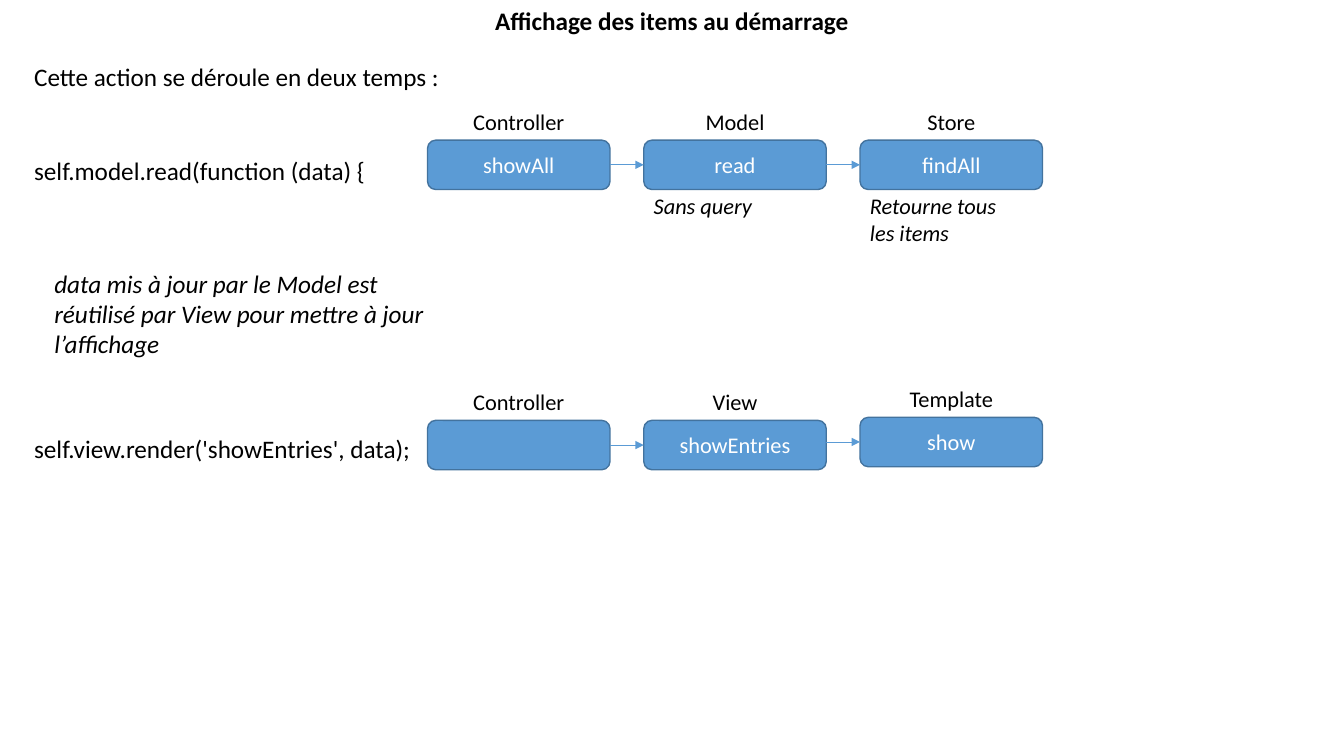
from lxml.etree import SubElement
from pptx import Presentation
from pptx.dml.color import RGBColor
from pptx.enum.shapes import MSO_CONNECTOR, MSO_SHAPE
from pptx.enum.text import MSO_ANCHOR, MSO_AUTO_SIZE, PP_ALIGN
from pptx.oxml.ns import qn
from pptx.util import Inches, Pt

BLACK, WHITE = "000000", "FFFFFF"
BLUE, DARK_BLUE = "5B9BD5", "43739E"
STEP_LEFT, STEP_PITCH = 4.24, 2.145
STEP_WIDTH, STEP_HEIGHT = 1.81, 0.49
ROLE_WIDTH, ROLE_HEIGHT = 1.39, 0.37
RIGHT_SIDE, LEFT_SIDE = 3, 1


def color(hex_value):
    return RGBColor.from_string(hex_value)


def write(frame, text, size=18, fill=BLACK, bold=False, italic=False,
          align=PP_ALIGN.LEFT, anchor=MSO_ANCHOR.TOP):
    frame.word_wrap = True
    frame.vertical_anchor = anchor
    frame.text = text
    for paragraph in frame.paragraphs:
        paragraph.alignment = align
        for run in paragraph.runs:
            font = run.font
            font.name, font.size = "Calibri", Pt(size)
            font.bold, font.italic = bold, italic
            font.color.rgb = color(fill)


def add_title(slide, text):
    title = slide.shapes.title
    title.left, title.top = Inches(0), Inches(0)
    title.width, title.height = Inches(13.33), Inches(0.4)
    write(title.text_frame, text, bold=True, align=PP_ALIGN.CENTER)
    title.text_frame.auto_size = MSO_AUTO_SIZE.SHAPE_TO_FIT_TEXT


def add_label(slide, text, left, top, width, height=0.4, **text_format):
    label = slide.shapes.add_textbox(
        Inches(left), Inches(top), Inches(width), Inches(height))
    write(label.text_frame, text, **text_format)
    label.text_frame.auto_size = MSO_AUTO_SIZE.SHAPE_TO_FIT_TEXT


def add_step(slide, role, method, left, top):
    """Draw a method box with the name of its component above it."""
    step = slide.shapes.add_shape(
        MSO_SHAPE.ROUNDED_RECTANGLE, Inches(left), Inches(top),
        Inches(STEP_WIDTH), Inches(STEP_HEIGHT))
    step.shadow.inherit = False
    step.fill.solid()
    step.fill.fore_color.rgb = color(BLUE)
    step.line.color.rgb = color(DARK_BLUE)
    step.line.width = Pt(1)
    if method:
        write(step.text_frame, method, size=16, fill=WHITE,
              align=PP_ALIGN.CENTER, anchor=MSO_ANCHOR.MIDDLE)
    add_label(slide, role, left + (STEP_WIDTH - ROLE_WIDTH) / 2,
              top - ROLE_HEIGHT, ROLE_WIDTH, ROLE_HEIGHT,
              size=16, align=PP_ALIGN.CENTER)
    return step


def add_arrow(slide, caller, callee):
    """Draw a level arrow into the callee, joined wherever it meets a midpoint."""
    y = callee.top + callee.height // 2
    arrow = slide.shapes.add_connector(
        MSO_CONNECTOR.STRAIGHT, caller.left + caller.width, y, callee.left, y)
    if caller.top == callee.top:
        arrow.begin_connect(caller, RIGHT_SIDE)
    arrow.end_connect(callee, LEFT_SIDE)
    arrow.line.color.rgb = color(BLUE)
    arrow.line.width = Pt(0.5)
    SubElement(arrow.line._get_or_add_ln(), qn("a:tailEnd"), type="triangle")
    SubElement(arrow._element.spPr, qn("a:effectLst"))


def add_call_chain(slide, calls):
    steps = [add_step(slide, role, method, STEP_LEFT + i * STEP_PITCH, top)
             for i, (role, method, top) in enumerate(calls)]
    for caller, callee in zip(steps, steps[1:]):
        add_arrow(slide, caller, callee)


def main():
    deck = Presentation()
    deck.slide_width, deck.slide_height = Inches(13.33), Inches(7.5)
    slide = deck.slides.add_slide(deck.slide_layouts[5])

    add_title(slide, "Affichage des items au démarrage")
    add_label(slide, "Cette action se déroule en deux temps :", 0.24, 0.56, 5.96)

    add_label(slide, "self.model.read(function (data) {", 0.24, 1.49, 3.9)
    add_call_chain(slide, [("Controller", "showAll", 1.39),
                           ("Model", "read", 1.39),
                           ("Store", "findAll", 1.39)])
    add_label(slide, "Sans query", STEP_LEFT + STEP_PITCH, 1.86,
              STEP_WIDTH, 0.37, size=16, italic=True)
    add_label(slide, "Retourne tous\nles items", STEP_LEFT + 2 * STEP_PITCH, 1.86,
              STEP_WIDTH, 0.64, size=16, italic=True)

    add_label(slide, "data mis à jour par le Model est réutilisé par View "
              "pour mettre à jour l’affichage", 0.44, 2.61, 4, 1.01, italic=True)

    add_label(slide, "self.view.render('showEntries', data);", 0.24, 4.25, 4)
    add_call_chain(slide, [("Controller", "", 4.17),
                           ("View", "showEntries", 4.17),
                           ("Template", "show", 4.14)])

    deck.save("out.pptx")


if __name__ == "__main__":
    main()
